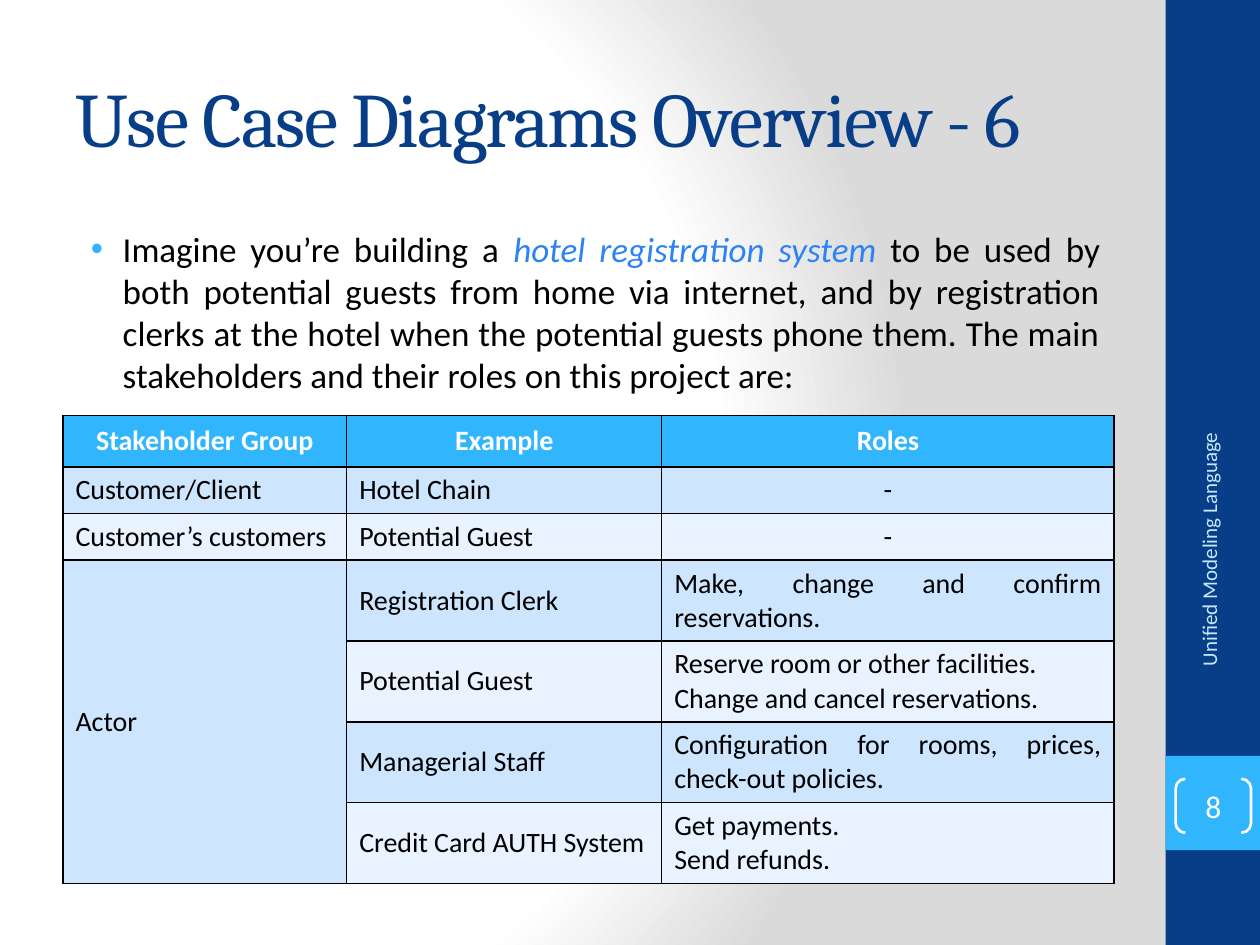
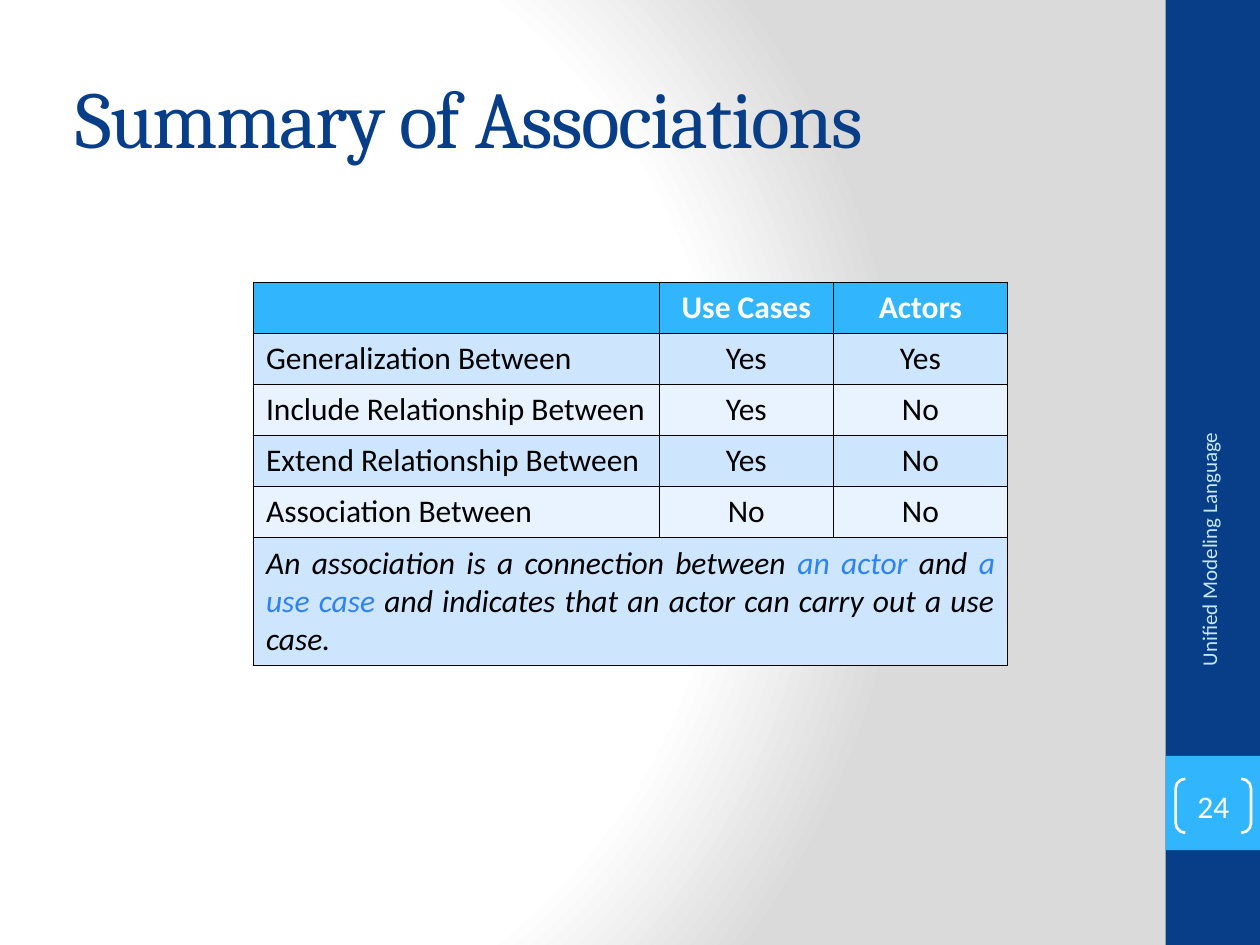
from dataclasses import dataclass

from pptx import Presentation
from pptx import util as u
from pptx.dml.color import RGBColor
from pptx.enum import shapes, text
from pptx.oxml import parse_xml
from pptx.oxml.ns import nsdecls, qn

LEFT, CENTER, JUSTIFY, RIGHT = (text.PP_ALIGN.LEFT, text.PP_ALIGN.CENTER,
                                text.PP_ALIGN.JUSTIFY, text.PP_ALIGN.RIGHT)


@dataclass(frozen=True)
class Theme:
    navy: str = "073E87"
    sky: str = "31B6FD"
    accent: str = "2D83F4"
    pale: str = "C6E7FC"
    white: str = "FFFFFF"
    black: str = "000000"
    shade: str = "DADADA"
    bands: tuple = ("E8F3FF", "CEE5FE")
    heading_font: str = "Cambria"
    body_font: str = "Calibri"
    title_size: int = 46
    body_size: int = 20
    table_size: int = 18
    number_size: int = 18
    footer_size: int = 12


THEME = Theme()


def rgb(color):
    return RGBColor.from_string(color)


def write(frame, content, size, color=THEME.black, font=THEME.body_font,
          align=LEFT, bold=False, italic=False):
    """Fill a frame: newlines part paragraphs, *stars* enclose accented words."""
    for number, line in enumerate(content.split("\n")):
        para = frame.add_paragraph() if number else frame.paragraphs[0]
        para.alignment = align
        for index, words in enumerate(line.split("*")):
            if not words:
                continue
            accented = index % 2 == 1
            span = para.add_run()
            span.text = words
            span.font.name = font
            span.font.size = u.Pt(size)
            span.font.bold = bold
            span.font.italic = italic or accented
            span.font.color.rgb = rgb(THEME.accent if accented else color)


def place(box, left, top, width, height):
    box.left, box.top = u.Cm(left), u.Cm(top)
    box.width, box.height = u.Cm(width), u.Cm(height)


def add_bullet(para, color, margin, indent):
    props = para._p.get_or_add_pPr()
    props.set("marL", str(u.Cm(margin)))
    props.set("indent", str(u.Cm(indent)))
    for xml in (f'<a:buClr {nsdecls("a")}><a:srgbClr val="{color}"/></a:buClr>',
                f'<a:buFont {nsdecls("a")} typeface="Arial"/>',
                f'<a:buChar {nsdecls("a")} char="•"/>'):
        props.append(parse_xml(xml))


def add_borders(cell, color, width):
    props = cell._tc.get_or_add_tcPr()
    for index, side in enumerate("LRTB"):
        props.insert(index, parse_xml(
            f'<a:ln{side} {nsdecls("a")} w="{u.Pt(width)}"><a:solidFill>'
            f'<a:srgbClr val="{color}"/></a:solidFill></a:ln{side}>'))


def set_background(master, theme):
    """Give every slide the radial sweep from white to grey."""
    master.background.fill.solid()
    props = master.element.find(".//" + qn("p:bgPr"))
    stops = "".join(
        f'<a:gs pos="{percent * 1000}"><a:srgbClr val="{color}"/></a:gs>'
        for percent, color in ((0, theme.white), (75, theme.white), (100, theme.shade)))
    props.replace(props[0], parse_xml(
        f'<a:gradFill {nsdecls("a")} rotWithShape="1"><a:gsLst>{stops}</a:gsLst>'
        '<a:path path="circle"><a:fillToRect l="20000" t="50000" r="100000" b="50000"/>'
        '</a:path></a:gradFill>'))


class SlideBuilder:
    def __init__(self, deck, theme):
        self.deck, self.theme, self.page = deck, theme, None
        set_background(deck.slide_master, theme)

    def start(self, layout_name, title, number, title_size=None):
        layout = self.deck.slide_layouts.get_by_name(layout_name)
        self.page = self.deck.slides.add_slide(layout)
        self.rectangle(23.5, 0, 1.9, 19.05, self.theme.navy)
        self.rectangle(23.5, 15.24, 1.9, 1.9, self.theme.sky)
        self.title(title, title_size or self.theme.title_size)
        self.footer("Unified Modeling Language")
        self.page_number(number)

    def rectangle(self, left, top, width, height, color):
        box = self.page.shapes.add_shape(
            shapes.MSO_SHAPE.RECTANGLE, u.Cm(left), u.Cm(top), u.Cm(width), u.Cm(height))
        box.shadow.inherit = False
        box.fill.solid()
        box.fill.fore_color.rgb = rgb(color)
        box.line.fill.background()

    def title(self, content, size):
        box = self.page.shapes.title
        place(box, 1.27, 0.76, 21.16, 3.18)
        frame = box.text_frame
        frame.auto_size = text.MSO_AUTO_SIZE.NONE
        frame.vertical_anchor = text.MSO_ANCHOR.MIDDLE
        write(frame, content, size, self.theme.navy, self.theme.heading_font)
        for span in frame.paragraphs[0].runs:
            span._r.get_or_add_rPr().set("spc", "-100")

    def body(self, content):
        box = self.page.placeholders[1]
        place(box, 1.27, 4.45, 21.16, 13.34)
        frame = box.text_frame
        frame.auto_size = text.MSO_AUTO_SIZE.NONE
        write(frame, content, self.theme.body_size, align=JUSTIFY)
        for para in frame.paragraphs:
            para.space_before = u.Pt(4.3)
            add_bullet(para, self.theme.sky, 0.95, -0.64)

    def footer(self, content):
        box = self.page.shapes.add_textbox(u.Cm(21.08), u.Cm(11.25), u.Cm(6.58), u.Cm(1.02))
        box.rotation = 270
        frame = box.text_frame
        frame.word_wrap = True
        frame.vertical_anchor = text.MSO_ANCHOR.MIDDLE
        write(frame, content, self.theme.footer_size, self.theme.pale, align=RIGHT)

    def page_number(self, number):
        box = self.page.shapes.add_shape(
            shapes.MSO_SHAPE.DOUBLE_BRACKET, u.Cm(23.7), u.Cm(15.7), u.Cm(1.52), u.Cm(1.09))
        box.shadow.inherit = False
        box.adjustments[0] = 0.18
        box.fill.background()
        box.line.color.rgb = rgb(self.theme.white)
        box.line.width = u.Pt(1.5)
        frame = box.text_frame
        frame.margin_left = frame.margin_right = frame.margin_top = frame.margin_bottom = 0
        frame.vertical_anchor = text.MSO_ANCHOR.MIDDLE
        write(frame, str(number), self.theme.number_size, self.theme.white, align=CENTER)

    def table(self, left, top, widths, heights, rows, aligns, size):
        """Draw a banded table with a header row; empty strings leave cells blank."""
        table = self.page.shapes.add_table(
            len(rows), len(widths), u.Cm(left), u.Cm(top),
            u.Cm(sum(widths)), u.Cm(sum(heights))).table
        table.horz_banding = False
        for column, width in zip(table.columns, widths):
            column.width = u.Cm(width)
        for row, height in zip(table.rows, heights):
            row.height = u.Cm(height)
        for index, row in enumerate(rows):
            header = index == 0
            for column, content in enumerate(row):
                cell = table.cell(index, column)
                cell.vertical_anchor = text.MSO_ANCHOR.MIDDLE
                cell.fill.solid()
                cell.fill.fore_color.rgb = rgb(
                    self.theme.sky if header else self.theme.bands[index % 2])
                add_borders(cell, self.theme.black, 1)
                if content:
                    write(cell.text_frame, content, size,
                          color=self.theme.white if header else self.theme.black,
                          align=CENTER if header or content == "-" else aligns[column],
                          bold=header)
        return table


def stakeholders(builder):
    builder.start("Title and Content", "Use Case Diagrams Overview - 6", 8, title_size=44)
    builder.body(
        "Imagine you’re building a *hotel registration system* to be used by both "
        "potential guests from home via internet, and by registration clerks at the "
        "hotel when the potential guests phone them. The main stakeholders and their "
        "roles on this project are:")
    rows = [
        ("Stakeholder Group", "Example", "Roles"),
        ("Customer/Client", "Hotel Chain", "-"),
        ("Customer’s customers", "Potential Guest", "-"),
        ("Actor", "Registration Clerk", "Make, change and confirm reservations."),
        ("", "Potential Guest",
         "Reserve room or other facilities.\nChange and cancel reservations."),
        ("", "Managerial Staff", "Configuration for rooms, prices, check-out policies."),
        ("", "Credit Card AUTH System", "Get payments.\nSend refunds."),
    ]
    table = builder.table(1.27, 8.38, [5.72, 6.35, 9.12], [1.03] + [0.94] * 2 + [1.63] * 4,
                          rows, (LEFT, LEFT, JUSTIFY), size=16)
    table.cell(3, 0).merge(table.cell(6, 0))


def associations(builder):
    builder.start("Title Only", "Summary of Associations", 24)
    rows = [
        ("", "Use Cases", "Actors"),
        ("Generalization Between", "Yes", "Yes"),
        ("Include Relationship Between", "Yes", "No"),
        ("Extend Relationship Between", "Yes", "No"),
        ("Association Between", "No", "No"),
        ("", "", ""),
    ]
    size = builder.theme.table_size
    table = builder.table(5.11, 5.69, [8.18, 3.51, 3.51], [1.03] * 5 + [2.58],
                          rows, (LEFT, CENTER, CENTER), size)
    note = table.cell(5, 0)
    note.merge(table.cell(5, 2))
    write(note.text_frame,
          "An association is a connection between *an actor* and *a use case* "
          "and indicates that an actor can carry out a use case.",
          size, align=JUSTIFY, italic=True)


def main():
    deck = Presentation()
    deck.slide_width, deck.slide_height = u.Cm(25.4), u.Cm(19.05)
    builder = SlideBuilder(deck, THEME)
    stakeholders(builder)
    associations(builder)
    deck.save("out.pptx")


if __name__ == "__main__":
    main()
